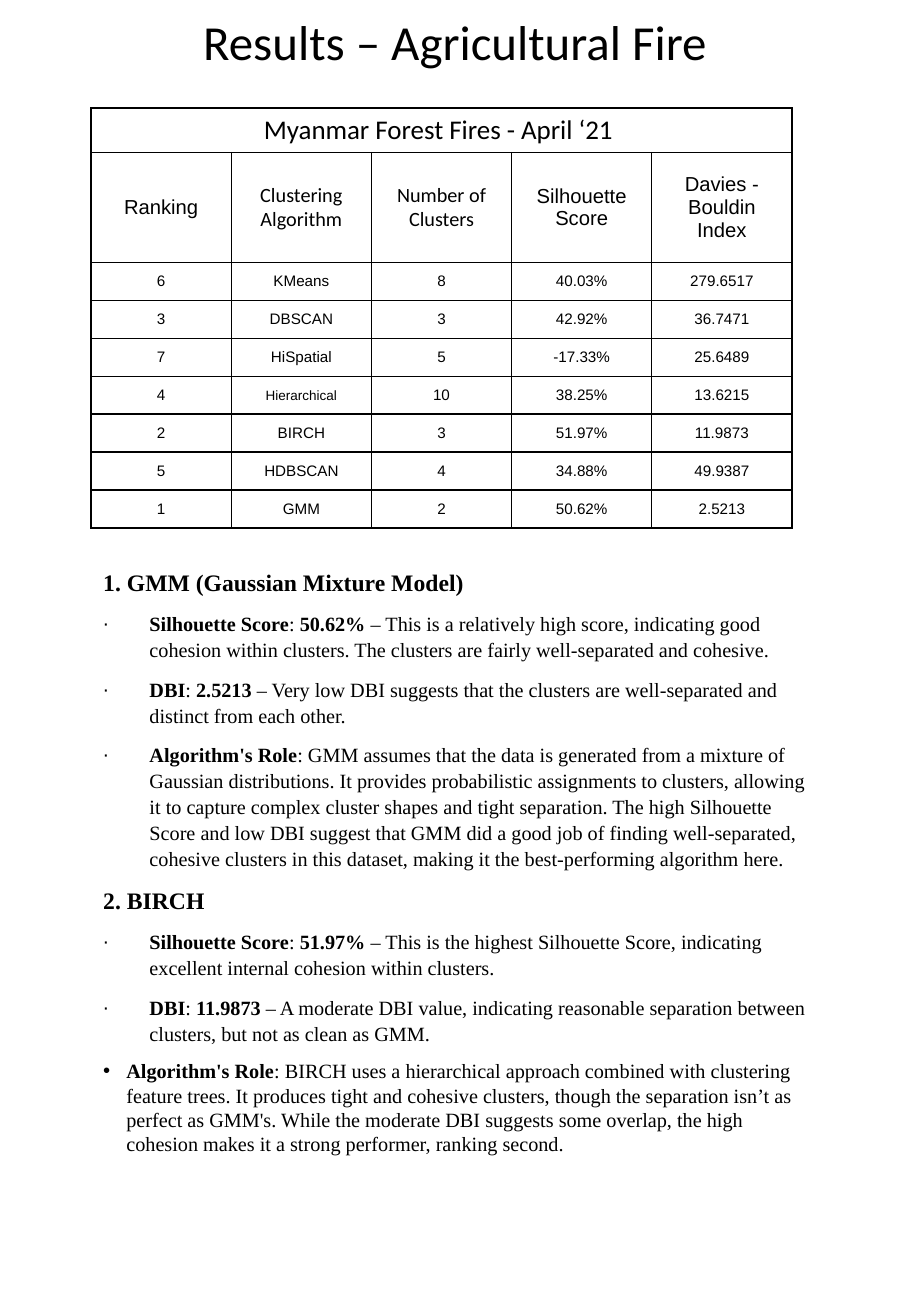
"""Build the clustering results slide for agricultural fires."""
import lxml.etree
import pptx
import pptx.dml.color
import pptx.enum.text
import pptx.oxml.ns
import pptx.util

Pt = pptx.util.Pt
ALIGN = pptx.enum.text.PP_ALIGN
ANCHOR = pptx.enum.text.MSO_ANCHOR
AUTOSIZE = pptx.enum.text.MSO_AUTO_SIZE
COLOURS = {"ink": "000000"}

HEADERS = [("Ranking", "Arial"), ("Clustering Algorithm", "Calibri"),
           ("Number of Clusters", "Calibri"), ("Silhouette Score", "Arial"),
           ("Davies - Bouldin Index", "Arial")]
RESULTS = [("6", "KMeans", "8", "40.03%", "279.6517"),
           ("3", "DBSCAN", "3", "42.92%", "36.7471"),
           ("7", "HiSpatial", "5", "-17.33%", "25.6489"),
           ("4", "Hierarchical", "10", "38.25%", "13.6215"),
           ("2", "BIRCH", "3", "51.97%", "11.9873"),
           ("5", "HDBSCAN", "4", "34.88%", "49.9387"),
           ("1", "GMM", "2", "50.62%", "2.5213")]

HEADING = {"size": 14, "spacing": 1.07}
POINT = {"size": 12, "spacing": 1.07, "bullet": "∙", "indent": 27.4}
LAST_POINT = {"size": 12, "bullet": "•", "indent": 13.7}
DISCUSSION = [
    ("**1. GMM (Gaussian Mixture Model)**", HEADING),
    ("**Silhouette Score**: **50.62%** – This is a relatively high score, indicating good "
     "cohesion within clusters. The clusters are fairly well-separated and cohesive.", POINT),
    ("**DBI**: **2.5213** – Very low DBI suggests that the clusters are well-separated and "
     "distinct from each other.", POINT),
    ("**Algorithm's Role**: GMM assumes that the data is generated from a mixture of Gaussian "
     "distributions. It provides probabilistic assignments to clusters, allowing it to capture "
     "complex cluster shapes and tight separation. The high Silhouette Score and low DBI suggest "
     "that GMM did a good job of finding well-separated, cohesive clusters in this dataset, "
     "making it the best-performing algorithm here.", POINT),
    ("**2. BIRCH**", HEADING),
    ("**Silhouette Score**: **51.97%** – This is the highest Silhouette Score, indicating "
     "excellent internal cohesion within clusters.", POINT),
    ("**DBI**: **11.9873** – A moderate DBI value, indicating reasonable separation between "
     "clusters, but not as clean as GMM.", POINT),
    ("**Algorithm's Role**: BIRCH uses a hierarchical approach combined with clustering feature "
     "trees. It produces tight and cohesive clusters, though the separation isn’t as perfect as "
     "GMM's. While the moderate DBI suggests some overlap, the high cohesion makes it a strong "
     "performer, ranking second.", LAST_POINT),
]


def add_xml(parent, tag, **attributes):
    return lxml.etree.SubElement(parent, pptx.oxml.ns.qn(tag), attributes)


def add_solid_colour(parent, colour):
    add_xml(parent, "a:srgbClr", val=COLOURS[colour])


def set_bullet(paragraph, bullet, indent):
    properties = paragraph._p.get_or_add_pPr()
    properties.set("marL", str(Pt(indent)))
    properties.set("indent", str(-Pt(indent)))
    if bullet:
        add_solid_colour(add_xml(properties, "a:buClr"), "ink")
        add_xml(properties, "a:buChar", char=bullet)
    else:
        add_xml(properties, "a:buNone")


def write(paragraph, text, size, font="Arial", colour="ink", align=ALIGN.LEFT,
          spacing=1.0, before=0, bullet=None, indent=0):
    set_bullet(paragraph, bullet, indent)
    paragraph.alignment = align
    paragraph.line_spacing = spacing
    paragraph.space_before = Pt(before)
    for position, part in enumerate(text.split("**")):
        if part:
            run = paragraph.add_run()
            run.text = part
            run.font.size = Pt(size)
            run.font.name = font
            run.font.bold = position % 2 == 1
            run.font.color.rgb = pptx.dml.color.RGBColor.from_string(COLOURS[colour])


def place(shape, left, top, width, height):
    shape.left, shape.top, shape.width, shape.height = map(Pt, (left, top, width, height))


def set_margins(holder, side, upright):
    holder.margin_left = holder.margin_right = Pt(side)
    holder.margin_top = holder.margin_bottom = Pt(upright)


def add_title(slide):
    title = slide.shapes.title
    place(title, 80.6, 7.9, 378.7, 71.3)
    frame = title.text_frame
    frame.vertical_anchor = ANCHOR.TOP
    frame.auto_size = AUTOSIZE.NONE
    set_margins(frame, 5.8, 2.9)
    write(frame.paragraphs[0], "Results – Agricultural Fire", 29, font="Calibri",
          align=ALIGN.CENTER, spacing=0.9)


def fill_cell(cell, text, size, font="Arial", margins=(4.3, 4.3)):
    cell.vertical_anchor = ANCHOR.MIDDLE
    set_margins(cell, *margins)
    write(cell.text_frame.paragraphs[0], text, size, font=font, align=ALIGN.CENTER)


def outline_cell(cell):
    properties = cell._tc.get_or_add_tcPr()
    for edge in ("a:lnL", "a:lnR", "a:lnT", "a:lnB"):
        line = add_xml(properties, edge, w=str(Pt(1)))
        add_solid_colour(add_xml(line, "a:solidFill"), "ink")
    cell.fill.background()


def add_results_table(slide):
    heights = [26.4, 65.2] + [22.5] * len(RESULTS)
    column_width = 83.1
    frame = slide.shapes.add_table(len(heights), len(HEADERS), Pt(54), Pt(64),
                                   Pt(column_width * len(HEADERS)), Pt(sum(heights)))
    results = frame.table
    results.first_row = results.horz_banding = False
    for column in results.columns:
        column.width = Pt(column_width)
    for row, height in zip(results.rows, heights):
        row.height = Pt(height)
    for cell in results.iter_cells():
        outline_cell(cell)

    results.cell(0, 0).merge(results.cell(0, len(HEADERS) - 1))
    fill_cell(results.cell(0, 0), "Myanmar Forest Fires - April ‘21 ", 16,
              font="Calibri", margins=(5.8, 2.9))
    for column, (label, font) in enumerate(HEADERS):
        margins = (5.8, 2.9) if column < 2 else (7.2, 3.6)
        fill_cell(results.cell(1, column), label, 12, font=font, margins=margins)
    for row, values in enumerate(RESULTS, start=2):
        for column, value in enumerate(values):
            fill_cell(results.cell(row, column), value, 8 if value == "Hierarchical" else 9)


def add_discussion(slide):
    discussion = slide.placeholders[1]
    place(discussion, 54, 331.9, 437, 370.8)
    frame = discussion.text_frame
    frame.word_wrap = True
    frame.auto_size = AUTOSIZE.SHAPE_TO_FIT_TEXT
    frame.vertical_anchor = ANCHOR.TOP
    set_margins(frame, 7.2, 3.6)
    for position, (text, style) in enumerate(DISCUSSION):
        paragraph = frame.add_paragraph() if position else frame.paragraphs[0]
        write(paragraph, text, font="Times New Roman", before=8 if position else 0, **style)


def main():
    presentation = pptx.Presentation()
    presentation.slide_width, presentation.slide_height = Pt(540), Pt(780)
    slide = presentation.slides.add_slide(presentation.slide_layouts[1])
    add_title(slide)
    add_results_table(slide)
    add_discussion(slide)
    presentation.save("out.pptx")


if __name__ == "__main__":
    main()
